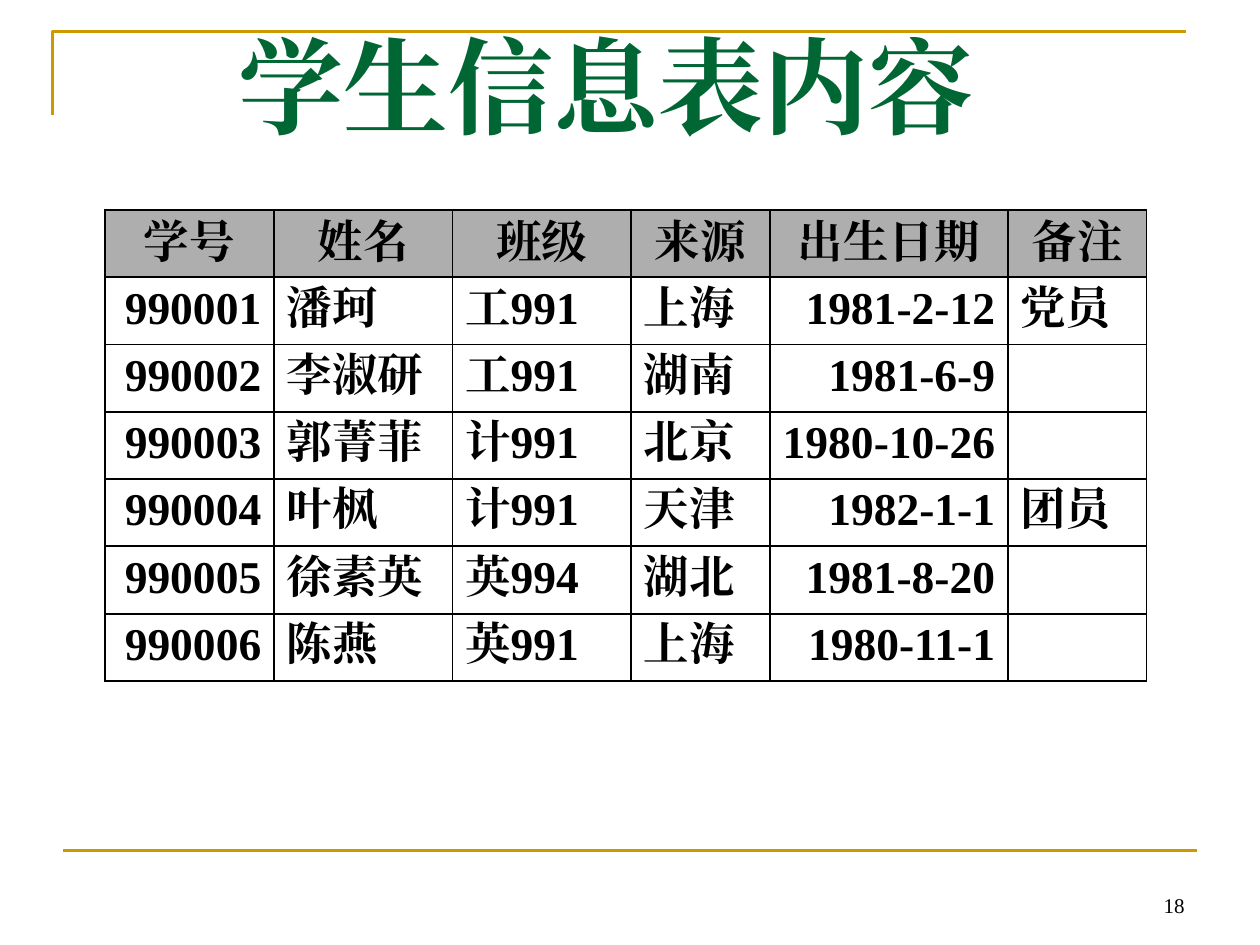
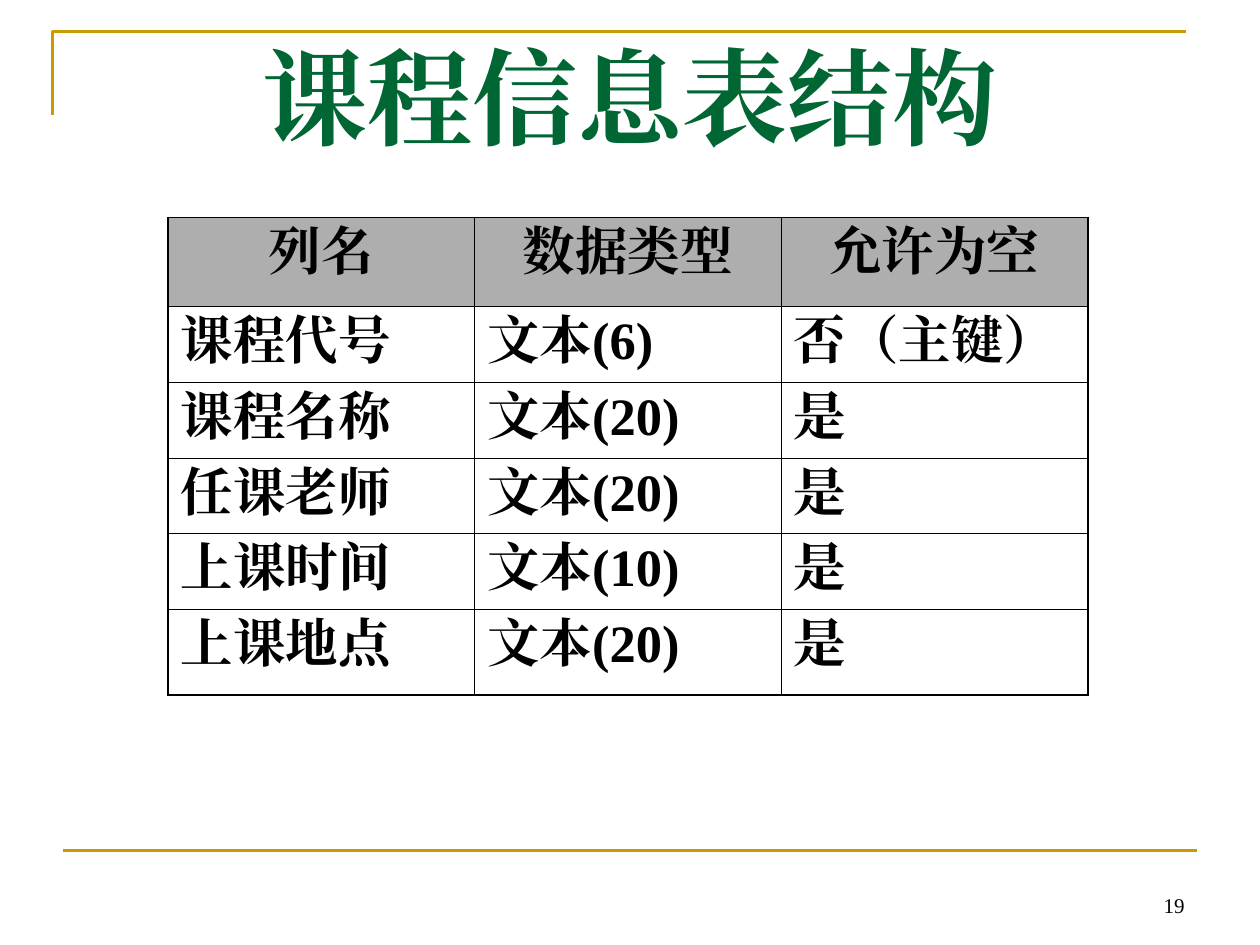
from lxml.etree import SubElement
from pptx import Presentation
from pptx.dml.color import RGBColor
from pptx.enum.shapes import MSO_CONNECTOR
from pptx.enum.text import MSO_ANCHOR, PP_ALIGN
from pptx.oxml.ns import qn
from pptx.util import Inches, Pt

COLUMNS, ROWS = 120, 90
WIDTH, HEIGHT = Inches(10), Inches(7.5)
FONT = "Times New Roman"
COLOURS = {
    "frame": "CC9900",
    "title": "006633",
    "text": "000000",
    "border": "000000",
    "header": "5F5F5F",
    "paper": "FFFFFF",
}
ALIGNMENTS = {"l": PP_ALIGN.LEFT, "c": PP_ALIGN.CENTER, "r": PP_ALIGN.RIGHT}

TITLE_STYLE = {"size": Pt(60), "bold": True}
NUMBER_STYLE = {"size": Pt(12), "bold": False}
STUDENT_STYLE = {"size": Pt(26), "bold": True}
COURSE_STYLE = {"size": Pt(30), "bold": True}

STUDENTS = [
    ["学号", "姓名", "班级", "来源", "出生日期", "备注"],
    ["990001", "潘珂", "工991", "上海", "1981-2-12", "党员"],
    ["990002", "李淑研", "工991", "湖南", "1981-6-9", ""],
    ["990003", "郭菁菲", "计991", "北京", "1980-10-26", ""],
    ["990004", "叶枫", "计991", "天津", "1982-1-1", "团员"],
    ["990005", "徐素英", "英994", "湖北", "1981-8-20", ""],
    ["990006", "陈燕", "英991", "上海", "1980-11-1", ""],
]
COURSES = [
    ["列名", "数据类型", "允许为空"],
    ["课程代号", "文本(6)", "否（主键）"],
    ["课程名称", "文本(20)", "是"],
    ["任课老师", "文本(20)", "是"],
    ["上课时间", "文本(10)", "是"],
    ["上课地点", "文本(20)", "是"],
]


def across(columns):
    return round(WIDTH * columns / COLUMNS)


def down(rows):
    return round(HEIGHT * rows / ROWS)


def colour(name):
    return RGBColor.from_string(COLOURS[name])


def write(frame, text, style, alignment, colour_name="text"):
    para = frame.paragraphs[0]
    para.alignment = ALIGNMENTS[alignment]
    span = para.add_run()
    span.text = text
    for name, value in {"name": FONT, **style}.items():
        setattr(span.font, name, value)
    span.font.color.rgb = colour(colour_name)
    # East Asian text takes its line height from the same font
    latin = span.font._element.find(qn("a:latin"))
    latin.addnext(latin.makeelement(qn("a:ea"), {"typeface": FONT}))


def add_text(page, place, text, style, alignment, anchor, colour_name="text"):
    left, top, width, height = place
    box = page.shapes.add_textbox(across(left), down(top), across(width), down(height))
    box.text_frame.word_wrap = True
    box.text_frame.vertical_anchor = anchor
    write(box.text_frame, text, style, alignment, colour_name)


def draw_line_style(shape):
    shape.line.color.rgb = colour("frame")
    shape.line.width = Pt(1.5)


def add_frame(page):
    """Draw the corner bracket at the top and the rule at the foot."""
    builder = page.shapes.build_freeform(across(5), down(11))
    builder.add_line_segments(
        [(across(5), down(3)), (across(113), down(3))], close=False
    )
    bracket = builder.convert_to_shape()
    bracket.fill.background()
    bracket.shadow.inherit = False
    rule = page.shapes.add_connector(
        MSO_CONNECTOR.STRAIGHT, across(6), down(81), across(114), down(81)
    )
    SubElement(rule._element.spPr, qn("a:effectLst"))
    for shape in (bracket, rule):
        draw_line_style(shape)
    # The effect list has to follow the line properties
    rule._element.spPr.append(rule._element.spPr.find(qn("a:effectLst")))


def add_page(deck, title, title_place, number):
    page = deck.slides.add_slide(deck.slide_layouts[6])
    add_frame(page)
    add_text(page, (86, 82, 28, 6), number, NUMBER_STYLE, "r", MSO_ANCHOR.BOTTOM)
    add_text(page, title_place, title, TITLE_STYLE, "c", MSO_ANCHOR.TOP, "title")
    return page


def set_borders(cell, widths):
    """Set the cell's borders from points by side: L, R, T and B."""
    properties = cell._tc.get_or_add_tcPr()
    for side, points in widths.items():
        line = SubElement(properties, qn(f"a:ln{side}"), w=str(Pt(points)))
        fill = SubElement(line, qn("a:solidFill"))
        SubElement(fill, qn("a:srgbClr"), val=COLOURS["border"])


def fill_header(cell):
    cell.fill.solid()
    cell.fill.fore_color.rgb = colour("header")
    tint = cell._tc.tcPr.find(qn("a:solidFill")).find(qn("a:srgbClr"))
    SubElement(tint, qn("a:alpha"), val="50000")


def fill_body(cell, paper):
    if paper:
        cell.fill.solid()
        cell.fill.fore_color.rgb = colour("paper")
    else:
        cell.fill.background()


def add_grid(page, corner, widths, heights, records, style, alignments,
             outer, inner, header_anchor, paper):
    left, top = corner
    table = page.shapes.add_table(
        len(heights), len(widths), across(left), down(top),
        across(sum(widths)), down(sum(heights)),
    ).table
    table.horz_banding = False
    for column, width in zip(table.columns, widths):
        column.width = across(width)
    for row, height in zip(table.rows, heights):
        row.height = down(height)
    last_row, last_column = len(heights) - 1, len(widths) - 1
    for y, record in enumerate(records):
        for x, text in enumerate(record):
            cell = table.cell(y, x)
            edges = {"L": x == 0, "R": x == last_column,
                     "T": y == 0, "B": y == last_row}
            set_borders(cell, {side: outer if edge else inner
                               for side, edge in edges.items()})
            if y == 0:
                fill_header(cell)
                cell.vertical_anchor = header_anchor
            else:
                fill_body(cell, paper)
            if text:
                write(cell.text_frame, text, style, alignments[x] if y else "c")


def add_student_page(deck):
    page = add_page(deck, "学生信息表内容 ", (19.3, 1.5, 79.3, 13.2), "18")
    add_grid(
        page, (10, 20), [16.1, 17, 17, 13.2, 22.7, 13.2],
        [6.41] * len(STUDENTS), STUDENTS, STUDENT_STYLE, "rlllrl",
        outer=1.25, inner=1.25, header_anchor=MSO_ANCHOR.MIDDLE, paper=True,
    )


def add_course_page(deck):
    page = add_page(deck, "课程信息表结构", (18.4, 2.5, 83.2, 13.2), "19")
    add_grid(
        page, (16, 20.7), [29.2] * 3, [8.5] + [7.2] * 4 + [8.2],
        COURSES, COURSE_STYLE, "lll",
        outer=1.08, inner=0.45, header_anchor=MSO_ANCHOR.TOP, paper=False,
    )


def main():
    deck = Presentation()
    deck.slide_width, deck.slide_height = WIDTH, HEIGHT
    add_student_page(deck)
    add_course_page(deck)
    deck.save("out.pptx")


if __name__ == "__main__":
    main()
